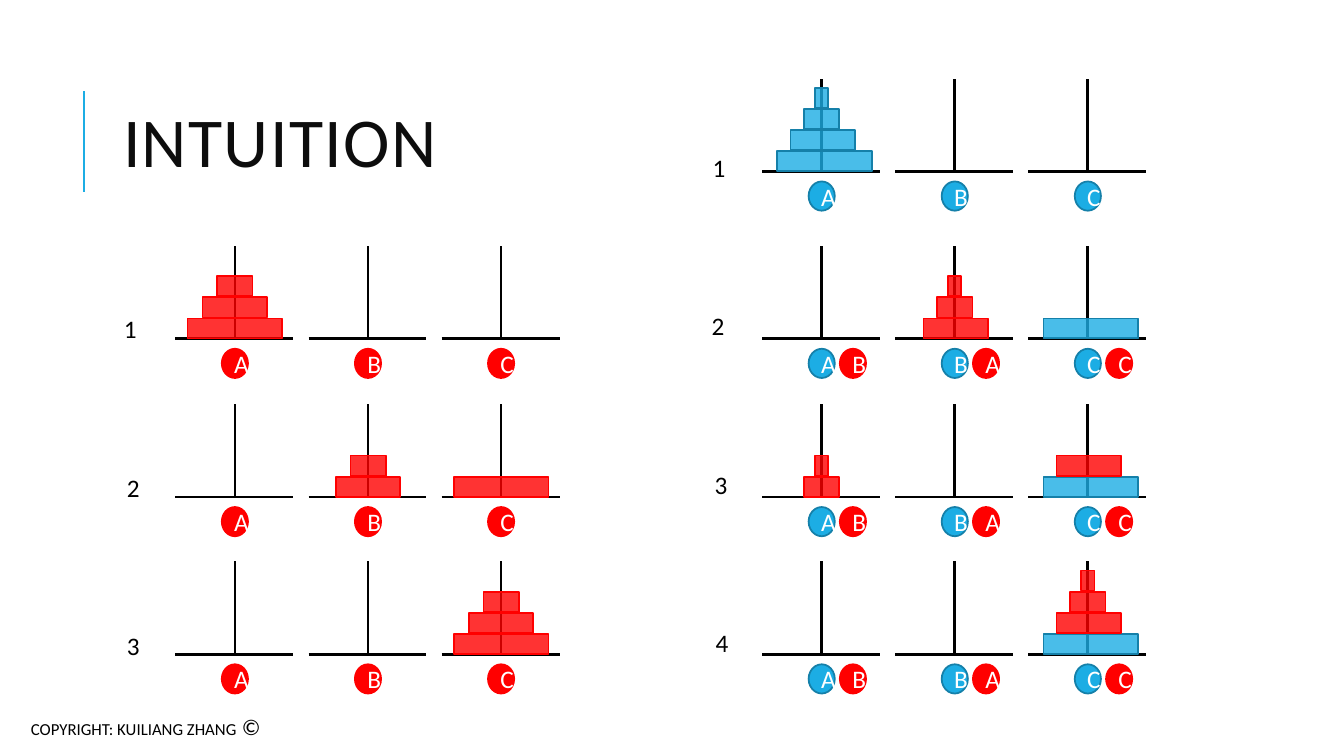
from dataclasses import dataclass

from lxml.etree import SubElement
from pptx import Presentation
from pptx.dml.color import RGBColor
from pptx.enum.shapes import MSO_CONNECTOR, MSO_SHAPE
from pptx.enum.text import MSO_ANCHOR, MSO_AUTO_SIZE, PP_ALIGN
from pptx.oxml.ns import qn
from pptx.util import Inches, Pt

BLACK = RGBColor(0x00, 0x00, 0x00)
TITLE_INK = RGBColor(0x0D, 0x0D, 0x0D)
WHITE = RGBColor(0xFF, 0xFF, 0xFF)
RED = RGBColor(0xFF, 0x00, 0x00)
BLUE = RGBColor(0x1C, 0xAD, 0xE4)
DARK_BLUE = RGBColor(0x15, 0x80, 0xA9)
EDGE = {RED: RED, BLUE: DARK_BLUE}

FONT = "Calibri"
PEG_STEP = 1.32
BASE_WIDTH = 1.17
POLE_OFFSET = 0.59
POLE_HEIGHT = 0.92
DISC_WIDTHS = {4: 0.94, 3: 0.64, 2: 0.35, 1: 0.13}
DISC_HEIGHT = 0.2
DISC_STEP = 0.21
BADGE_WIDTH = 0.26
BADGE_HEIGHT = 0.29
BADGE_STEP = 0.31


@dataclass
class State:
    """One position of the puzzle: its label, and the discs on each peg from the bottom up."""

    label: str
    label_left: float
    label_top: float
    base: float
    pegs: tuple
    badges: tuple


RED_NAMES = (("ABC", RED),)
BLUE_NAMES = (("ABC", BLUE),)
BOTH_NAMES = (("ABC", BLUE), ("BAC", RED))
THREE_DISCS = (
    State("1", 1.13, 3.06, 3.36, (((4, RED), (3, RED), (2, RED)), (), ()), RED_NAMES),
    State("2", 1.16, 4.64, 4.93, ((), ((3, RED), (2, RED)), ((4, RED),)), RED_NAMES),
    State("3", 1.16, 6.2, 6.49, ((), (), ((4, RED), (3, RED), (2, RED))), RED_NAMES),
)
FOUR_DISCS = (
    State("1", 6.97, 1.46, 1.7,
          (((4, BLUE), (3, BLUE), (2, BLUE), (1, BLUE)), (), ()), BLUE_NAMES),
    State("2", 6.96, 3.03, 3.36,
          ((), ((3, RED), (2, RED), (1, RED)), ((4, BLUE),)), BOTH_NAMES),
    State("3", 6.99, 4.61, 4.93,
          (((2, RED), (1, RED)), (), ((4, BLUE), (3, RED))), BOTH_NAMES),
    State("4", 7.0, 6.17, 6.49,
          ((), (), ((4, BLUE), (3, RED), (2, RED), (1, RED))), BOTH_NAMES),
)


def add_text(para, text, size=18, color=BLACK):
    """Add a formatted span to a paragraph and return it."""
    span = para.add_run()
    span.text = text
    span.font.name = FONT
    span.font.size = Pt(size)
    span.font.color.rgb = color
    return span


def add_line(page, start, end, color=BLACK, width=2):
    """Draw a straight line between two points."""
    line = page.shapes.add_connector(MSO_CONNECTOR.STRAIGHT, *map(Inches, start + end))
    line.line.color.rgb = color
    line.line.width = Pt(width)
    SubElement(line._element.spPr, qn("a:effectLst"))


def add_filled(page, kind, box, color):
    """Draw a filled shape with the edge that belongs to its colour."""
    shape = page.shapes.add_shape(kind, *map(Inches, box))
    shape.shadow.inherit = False
    shape.fill.solid()
    shape.fill.fore_color.rgb = color
    shape.line.color.rgb = EDGE[color]
    shape.line.width = Pt(1.25)
    return shape


def add_disc(page, center, top, size, color):
    """Draw a slightly transparent disc centred on a pole."""
    width = DISC_WIDTHS[size]
    box = (center - width / 2, top, width, DISC_HEIGHT)
    disc = add_filled(page, MSO_SHAPE.RECTANGLE, box, color)
    fill = disc._element.spPr.find(qn("a:solidFill"))
    SubElement(fill[0], qn("a:alpha"), val="80000")


def add_badge(page, left, top, letter, color):
    """Draw a round badge with the letter of a peg."""
    box = (left, top, BADGE_WIDTH, BADGE_HEIGHT)
    frame = add_filled(page, MSO_SHAPE.OVAL, box, color).text_frame
    frame.vertical_anchor = MSO_ANCHOR.MIDDLE
    para = frame.paragraphs[0]
    para.alignment = PP_ALIGN.CENTER
    add_text(para, letter, color=WHITE)


def add_peg(page, left, base, discs, badges, nudges):
    """Draw a base and pole with the discs on it and the badges below."""
    pole = left + POLE_OFFSET
    add_line(page, (left, base), (left + BASE_WIDTH, base))
    add_line(page, (pole, base), (pole, base - POLE_HEIGHT))
    for level, (size, color) in enumerate(discs):
        top = base - DISC_HEIGHT - level * DISC_STEP
        add_disc(page, pole + nudges.get(size, 0), top, size, color)
    for place, (letter, color) in enumerate(badges):
        badge_left = pole - BADGE_WIDTH / 2 + place * BADGE_STEP
        add_badge(page, badge_left, base + 0.1, letter, color)


def add_state(page, left, state, nudges):
    """Draw the number and the three pegs of one state."""
    label = page.shapes.add_textbox(
        *map(Inches, (state.label_left, state.label_top, 0.34, 0.4)))
    label.text_frame.word_wrap = False
    label.text_frame.auto_size = MSO_AUTO_SIZE.SHAPE_TO_FIT_TEXT
    add_text(label.text_frame.paragraphs[0], state.label)
    for index, discs in enumerate(state.pegs):
        badges = [(names[index], color) for names, color in state.badges]
        add_peg(page, left + index * PEG_STEP, state.base, discs, badges, nudges)


def add_column(page, left, states, nudges):
    """Draw the states of one puzzle below each other."""
    for state in states:
        add_state(page, left, state, nudges)


def add_title(page, box):
    """Fill the title placeholder and draw the accent line beside it."""
    left, top, width, height = box
    title = page.shapes.title
    title.left, title.top, title.width, title.height = map(Inches, box)
    frame = title.text_frame
    frame.word_wrap = True
    frame.auto_size = MSO_AUTO_SIZE.NONE
    frame.vertical_anchor = MSO_ANCHOR.MIDDLE
    para = frame.paragraphs[0]
    para.alignment = PP_ALIGN.LEFT
    para.line_spacing = 0.8
    span = add_text(para, "INTUITION", size=50, color=TITLE_INK)
    span.font._element.set("spc", "100")
    accent = left - 0.29
    add_line(page, (accent, top + 1.26), (accent, top + 0.26), color=BLUE, width=1.5)


def add_copyright(page, box):
    """Write the copyright line at the foot of the page."""
    frame = page.shapes.add_textbox(*map(Inches, box)).text_frame
    frame.word_wrap = True
    para = frame.paragraphs[0]
    para.alignment = PP_ALIGN.CENTER
    para.line_spacing = 0.9
    para.space_before = Pt(10)
    add_text(para, "COPYRIGHT: KUILIANG ZHANG", size=12)
    add_text(para, " © ", size=16)


def main():
    """Build the slide and save the deck."""
    deck = Presentation()
    deck.slide_width, deck.slide_height = Inches(13.33), Inches(7.5)
    page = deck.slides.add_slide(deck.slide_layouts[5])
    add_title(page, (1.12, 0.64, 10.63, 1.64))
    add_column(page, 1.74, THREE_DISCS, {})
    add_column(page, 7.56, FOUR_DISCS, {4: 0.03, 3: 0.01})
    add_copyright(page, (0.12, 7.06, 2.7, 0.39))
    deck.save("out.pptx")


if __name__ == "__main__":
    main()
